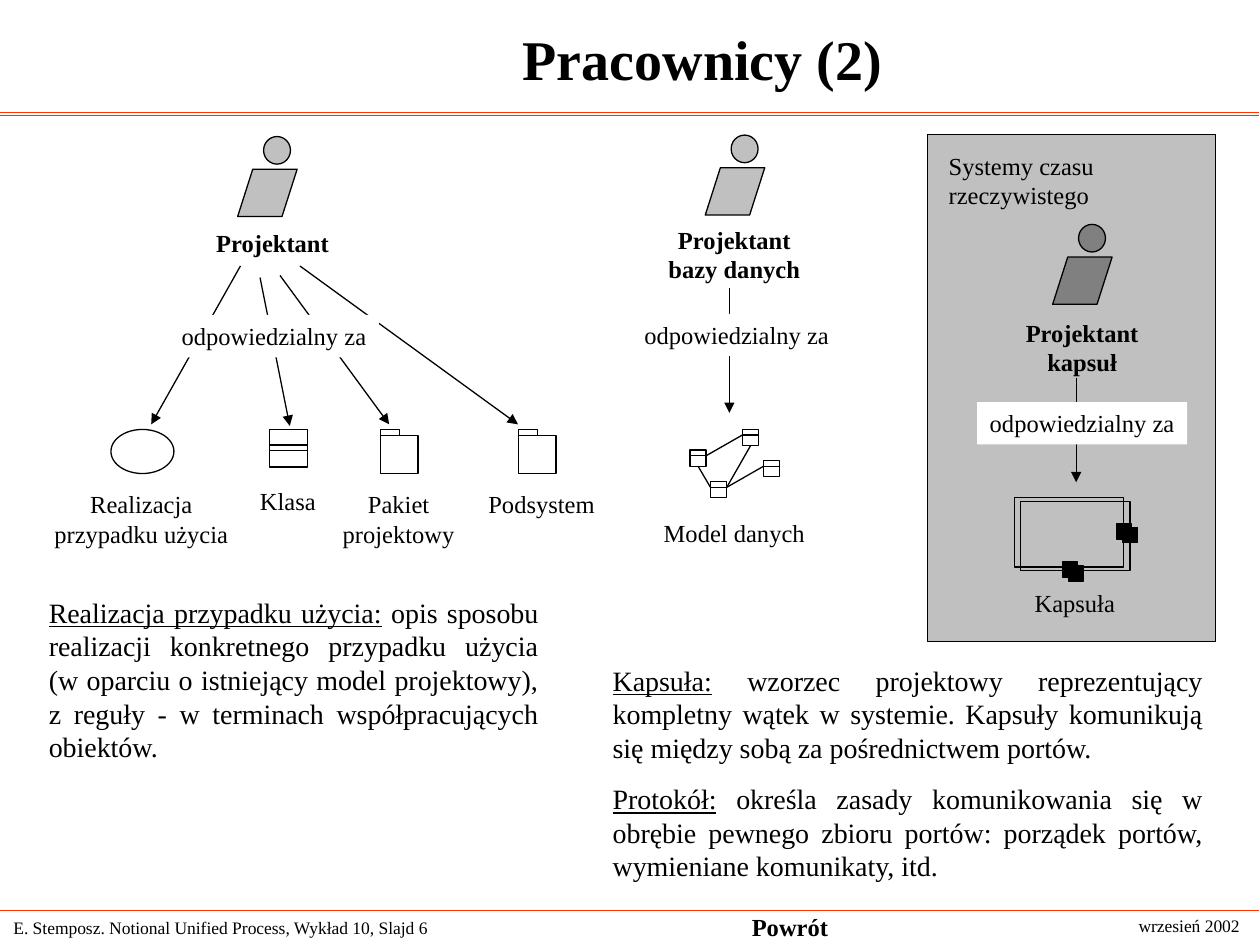
from dataclasses import dataclass
from typing import Optional

from lxml import etree
from pptx import Presentation
from pptx.dml.color import RGBColor
from pptx.enum.shapes import MSO_CONNECTOR, MSO_SHAPE
from pptx.enum.text import MSO_ANCHOR, PP_ALIGN
from pptx.oxml.ns import qn
from pptx.util import Pt

RECT, OVAL, SLANT = MSO_SHAPE.RECTANGLE, MSO_SHAPE.OVAL, MSO_SHAPE.PARALLELOGRAM
STRAIGHT = MSO_CONNECTOR.STRAIGHT
LEFT, CENTER, JUSTIFY = PP_ALIGN.LEFT, PP_ALIGN.CENTER, PP_ALIGN.JUSTIFY
TOP, MIDDLE = MSO_ANCHOR.TOP, MSO_ANCHOR.MIDDLE
BLACK = RGBColor(0x00, 0x00, 0x00)
WHITE = RGBColor(0xFF, 0xFF, 0xFF)
SILVER = RGBColor(0xC0, 0xC0, 0xC0)
GRAY = RGBColor(0x80, 0x80, 0x80)
RED = RGBColor(0xFF, 0x33, 0x00)
FONT = "Times New Roman"


@dataclass
class Label:
    x: float
    y: float
    w: float
    lines: tuple
    size: float = 14
    bold: bool = False
    align: PP_ALIGN = CENTER
    fill: Optional[RGBColor] = None


@dataclass
class Line:
    x1: float
    y1: float
    x2: float
    y2: float
    color: RGBColor = BLACK
    arrow: bool = False


@dataclass
class Worker:
    x: float
    y: float
    fill: RGBColor


@dataclass
class Note:
    x: float
    y: float
    w: float
    h: float
    items: tuple


def style(par, size: float, bold: bool, align: PP_ALIGN) -> None:
    par.alignment = align
    font = par.font
    font.name, font.size, font.bold = FONT, Pt(size), bold
    font.color.rgb = BLACK


def shape(kind, x: float, y: float, w: float, h: float, fill=None):
    form = slide.shapes.add_shape(kind, Pt(x), Pt(y), Pt(w), Pt(h))
    form.shadow.inherit = False
    if fill is None:
        form.fill.background()
    else:
        form.fill.solid()
        form.fill.fore_color.rgb = fill
    form.line.color.rgb = BLACK
    form.line.width = Pt(0.75)
    return form


def line(item: Line) -> None:
    wire = slide.shapes.add_connector(
        STRAIGHT, Pt(item.x1), Pt(item.y1), Pt(item.x2), Pt(item.y2))
    wire.line.color.rgb = item.color
    wire.line.width = Pt(0.75)
    if item.arrow:
        etree.SubElement(wire.line._get_or_add_ln(), qn("a:tailEnd"), type="triangle")
    etree.SubElement(wire._element.spPr, qn("a:effectLst"))


def label(item: Label) -> None:
    high = 7.4 + 1.2 * item.size * len(item.lines)
    box = slide.shapes.add_textbox(Pt(item.x), Pt(item.y), Pt(item.w), Pt(high))
    if item.fill is not None:
        box.fill.solid()
        box.fill.fore_color.rgb = item.fill
    frame = box.text_frame
    frame.word_wrap = False
    frame.vertical_anchor = TOP
    frame.text = "\n".join(item.lines)
    for par in frame.paragraphs:
        style(par, item.size, item.bold, item.align)


def worker(item: Worker) -> None:
    body = shape(SLANT, item.x, item.y + 18.7, 34, 27, item.fill)
    body.adjustments[0] = 0.32
    shape(OVAL, item.x + 14.8, item.y, 15.4, 15.8, item.fill)


def folder(x: float) -> None:
    shape(RECT, x, 249, 21.6, 21.6)
    shape(RECT, x, 245.4, 10.8, 3.6)


def table(x: float, y: float) -> None:
    shape(RECT, x, y, 9.2, 9.2, WHITE)
    line(Line(x, y + 3.2, x + 9.2, y + 3.2))


def port(x: float, y: float) -> None:
    for step in (0, 1):
        shape(RECT, x + 3.6 * step, y + 2.2 * step, 8.6, 8.6, BLACK)


def note(item: Note) -> None:
    box = slide.shapes.add_textbox(Pt(item.x), Pt(item.y), Pt(item.w), Pt(item.h))
    frame = box.text_frame
    frame.word_wrap = True
    for i, (term, text) in enumerate(item.items):
        par = frame.add_paragraph() if i else frame.paragraphs[0]
        if i:
            par.space_before = Pt(10)
        run = par.add_run()
        run.text = term
        run.font.underline = True
        par.add_run().text = text
        style(par, 16, False, JUSTIFY)


deck = Presentation()
deck.slide_width, deck.slide_height = Pt(720), Pt(540)
slide = deck.slides.add_slide(deck.slide_layouts[5])

title = slide.shapes.title
title.left, title.top, title.width, title.height = Pt(83.5), Pt(0), Pt(636), Pt(66)
title.text_frame.text = "Pracownicy (2)"
title.text_frame.vertical_anchor = MIDDLE
style(title.text_frame.paragraphs[0], 32, True, CENTER)

for y in (64.2, 66, 520.4):
    line(Line(0, y, 719.5, y, RED))

shape(RECT, 530, 77, 164.5, 289.5, SILVER)
for item in (Worker(135.8, 78, SILVER), Worker(403, 77.2, SILVER),
             Worker(601.5, 128.2, GRAY)):
    worker(item)

shape(OVAL, 63.4, 245.4, 36, 25.2)
shape(RECT, 154.2, 245.4, 21.6, 21.6, WHITE)
for y in (254.3, 257.6):
    line(Line(154.2, y, 175.8, y))
for x in (217.4, 296.2):
    folder(x)

for x, y in ((394.3, 257.2), (424.2, 245.4), (406, 275.2), (436.4, 263.2)):
    table(x, y)
for ends in ((403.4, 260.5, 424.2, 248.6), (429, 254.5, 415.3, 278.5),
             (406, 278.5, 398.9, 266.4), (436.4, 266.4, 415.3, 278.5)):
    line(Line(*ends))

for x, y in ((579.6, 284.4), (583.2, 286.6)):
    shape(RECT, x, y, 62.5, 39.6)
port(607, 321.2)
port(638, 299.4)

for ends in ((137.4, 152, 86.4, 242.5), (148.6, 158.6, 165.6, 243.4),
             (160, 157.4, 222.4, 242.5), (171.4, 152, 296, 242.5),
             (615, 216, 615, 275.6), (416.8, 164.4, 416.8, 236)):
    line(Line(*ends, arrow=True))

for x, y in ((96.6, 180), (558.4, 229.8), (361, 179.4)):
    label(Label(x, y, 120, ("odpowiedzialny za",), fill=WHITE))

for item in (
    Label(111.8, 127, 88, ("Projektant",), bold=True),
    Label(367.6, 125, 104, ("Projektant", "bazy danych"), bold=True),
    Label(574.4, 178, 88, ("Projektant", "kapsuł"), bold=True),
    Label(535, 82.6, 120, ("Systemy czasu", "rzeczywistego"), align=LEFT),
    Label(18.8, 276, 124, ("Realizacja", "przypadku użycia")),
    Label(134.5, 274, 60, ("Klasa",)),
    Label(182.8, 276, 90, ("Pakiet", "projektowy")),
    Label(266.5, 276, 86, ("Podsystem",)),
    Label(365.6, 292.6, 108, ("Model danych",)),
    Label(578.2, 332.6, 72, ("Kapsuła",)),
    Label(0.6, 520.4, 340, ("E. Stemposz. Notional Unified Process, Wykład 10, Slajd 6",),
          size=10, align=LEFT),
    Label(413.4, 517.8, 76, ("Powrót",), bold=True),
    Label(639.5, 519.6, 80, ("wrzesień 2002",), size=10),
):
    label(item)

note(Note(20.8, 336.6, 294, 104, (
    ("Realizacja przypadku użycia:",
     " opis sposobu realizacji konkretnego przypadku użycia (w oparciu o istniejący "
     "model projektowy), z reguły - w terminach współpracujących obiektów."),
)))
note(Note(343, 375.6, 351.4, 132.5, (
    ("Kapsuła:",
     " wzorzec projektowy reprezentujący kompletny wątek w systemie. "
     "Kapsuły komunikują się między sobą za pośrednictwem portów."),
    ("Protokół:",
     " określa zasady komunikowania się w obrębie pewnego zbioru portów: "
     "porządek portów, wymieniane komunikaty, itd."),
)))

deck.save("out.pptx")
